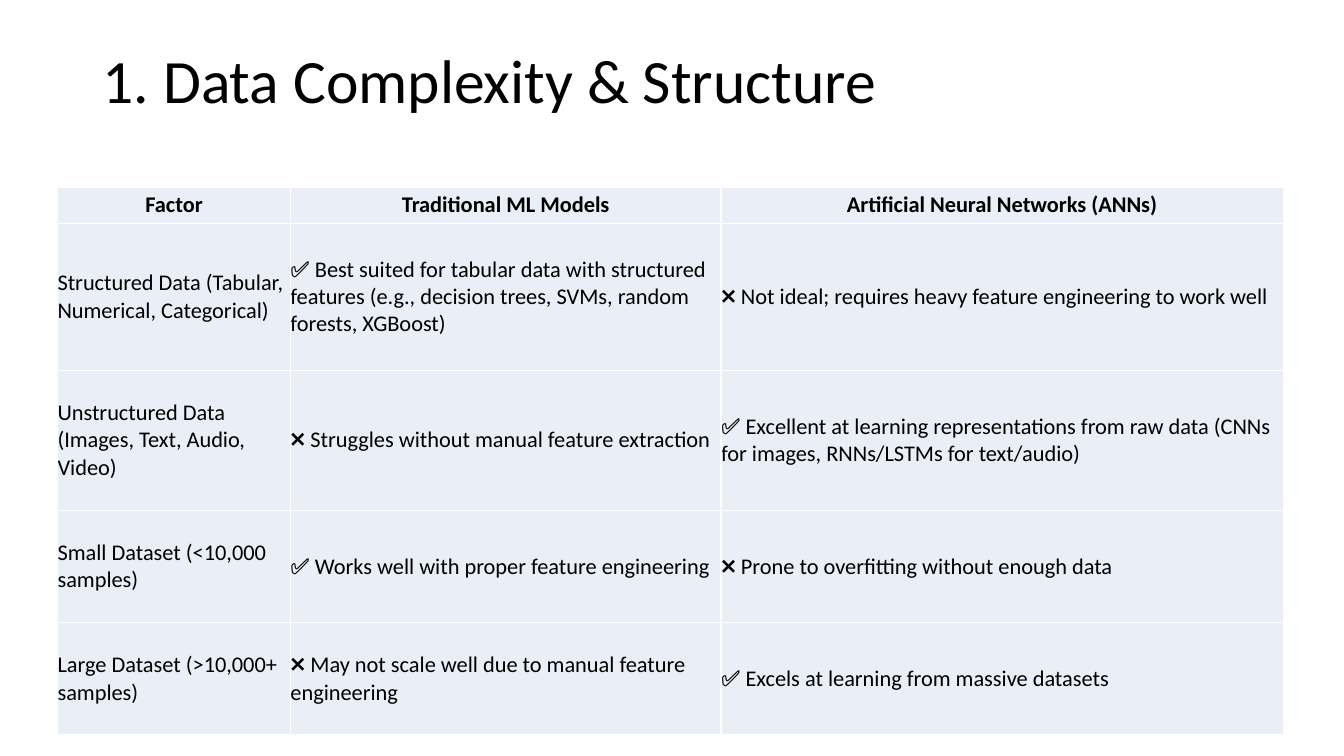
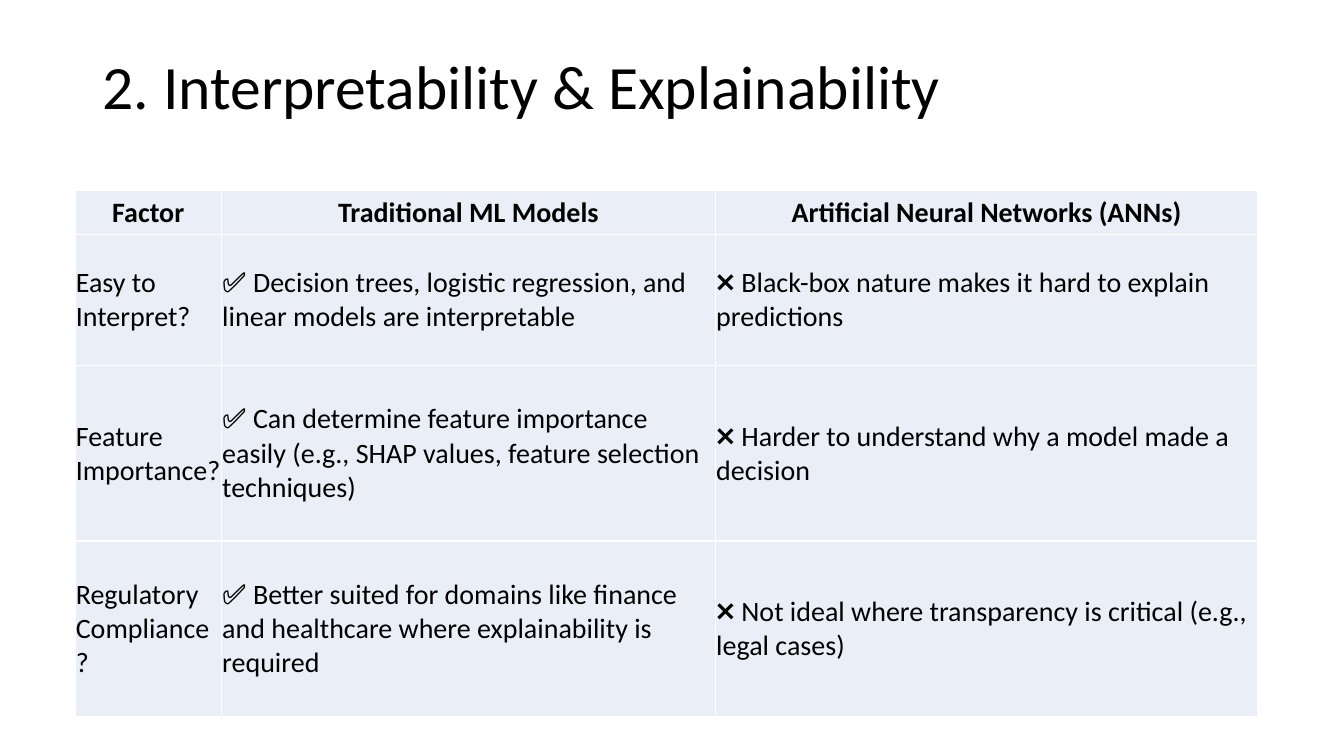
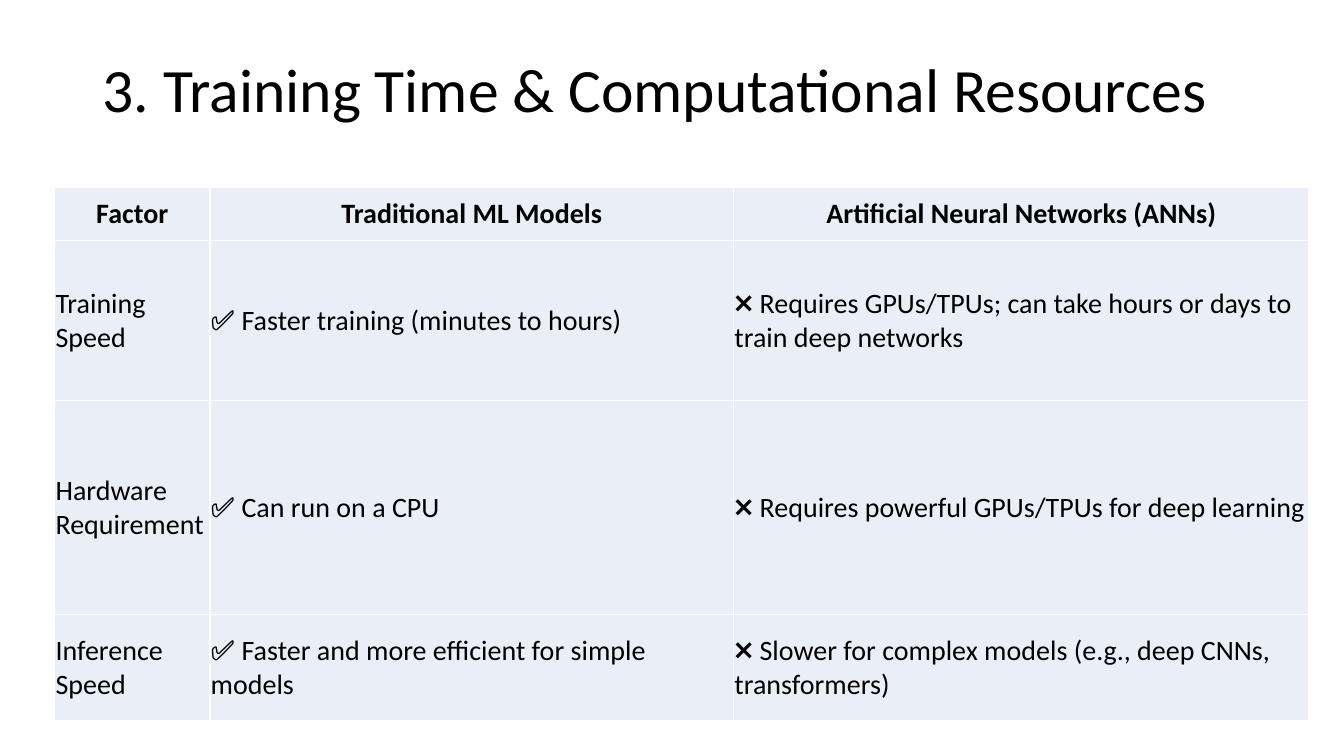
from lxml.etree import SubElement as Sub
from pptx import Presentation
from pptx.dml.color import RGBColor
from pptx.enum.text import MSO_ANCHOR as Anchor, MSO_AUTO_SIZE as Auto, PP_ALIGN as Align
from pptx.oxml.ns import qn
from pptx.util import Cm, Pt

FONT, INK, PALE, RULE = "Calibri", "000000", "EAEFF7", "FFFFFF"
HEAD = ("Factor", "Traditional ML Models", "Artificial Neural Networks (ANNs)")

TOPICS = [
    dict(
        title="1. Data Complexity & Structure", high=2.18,
        spot=(1.45, 4.71), cols=(5.87, 10.85, 14.17),
        rows=(0.92, 3.7, 3.53, 2.83, 2.83), size=16, inset=0,
        body=[
            ("Structured Data (Tabular, Numerical, Categorical)",
             "✅ Best suited for tabular data with structured features "
             "(e.g., decision trees, SVMs, random forests, XGBoost)",
             "❌ Not ideal; requires heavy feature engineering to work well"),
            ("Unstructured Data (Images, Text, Audio, Video)",
             "❌ Struggles without manual feature extraction",
             "✅ Excellent at learning representations from raw data "
             "(CNNs for images, RNNs/LSTMs for text/audio)"),
            ("Small Dataset (<10,000 samples)",
             "✅ Works well with proper feature engineering",
             "❌ Prone to overfitting without enough data"),
            ("Large Dataset (>10,000+ samples)",
             "❌ May not scale well due to manual feature engineering",
             "✅ Excels at learning from massive datasets"),
        ]),
    dict(
        title="2. Interpretability & Explainability", high=2.48,
        spot=(1.89, 4.81), cols=(3.69, 12.45, 13.67),
        rows=(1.09, 3.31, 4.42, 4.42), size=20, inset=0.02,
        body=[
            ("Easy to Interpret?",
             "✅ Decision trees, logistic regression, and linear models "
             "are interpretable",
             "❌ Black-box nature makes it hard to explain predictions"),
            ("Feature Importance?",
             "✅ Can determine feature importance easily "
             "(e.g., SHAP values, feature selection techniques)",
             "❌ Harder to understand why a model made a decision"),
            ("Regulatory Compliance?",
             "✅ Better suited for domains like finance and healthcare "
             "where explainability is required",
             "❌ Not ideal where transparency is critical (e.g., legal cases)"),
        ]),
    dict(
        title="3. Training Time & Computational Resources", high=2.64,
        spot=(1.38, 4.71), cols=(3.91, 13.2, 14.5),
        rows=(1.35, 4.04, 5.38, 2.69), size=20, inset=0.02,
        body=[
            ("Training Speed",
             "✅ Faster training (minutes to hours)",
             "❌ Requires GPUs/TPUs; can take hours or days to train "
             "deep networks"),
            ("Hardware Requirement",
             "✅ Can run on a CPU",
             "❌ Requires powerful GPUs/TPUs for deep learning"),
            ("Inference Speed",
             "✅ Faster and more efficient for simple models",
             "❌ Slower for complex models (e.g., deep CNNs, transformers)"),
        ]),
]


def tint(code):
    return RGBColor.from_string(code)


def write(para, text, size, bold=False, align=Align.LEFT):
    para.alignment = align
    run = para.add_run()
    run.text = text
    font = run.font
    font.name, font.size, font.bold = FONT, Pt(size), bold
    font.color.rgb = tint(INK)


def put_title(slide, text, high):
    shape = slide.shapes.title
    shape.left, shape.top = Cm(2.33), Cm(1.01)
    shape.width, shape.height = Cm(29.21), Cm(high)
    frame = shape.text_frame
    frame.auto_size, frame.word_wrap = Auto.NONE, True
    frame.vertical_anchor = Anchor.MIDDLE
    para = frame.paragraphs[0]
    para.line_spacing = 0.9
    write(para, text, 44)


def edge(cell):
    """Rule all four sides of a cell; call before filling it."""
    props = cell._tc.get_or_add_tcPr()
    for side in "LRTB":
        line = Sub(props, qn(f"a:ln{side}"), w=str(Pt(1)))
        fill = Sub(line, qn("a:solidFill"))
        Sub(fill, qn("a:srgbClr"), val=RULE)


def put_cell(cell, text, size, inset, head):
    edge(cell)
    cell.fill.solid()
    cell.fill.fore_color.rgb = tint(PALE)
    cell.margin_left = cell.margin_right = cell.margin_top = Cm(inset)
    cell.margin_bottom = 0
    cell.vertical_anchor = Anchor.MIDDLE
    write(cell.text_frame.paragraphs[0], text, size, head,
          Align.CENTER if head else Align.LEFT)


def put_table(slide, spot, cols, rows, body, size, inset):
    left, top = spot
    table = slide.shapes.add_table(
        len(rows), len(cols), Cm(left), Cm(top),
        Cm(sum(cols)), Cm(sum(rows))).table
    for col, wide in zip(table.columns, cols):
        col.width = Cm(wide)
    for row, high, texts in zip(table.rows, rows, [HEAD, *body]):
        row.height = Cm(high)
        for cell, text in zip(row.cells, texts):
            put_cell(cell, text, size, inset, texts is HEAD)


def add_topic(deck, title, high, **grid):
    slide = deck.slides.add_slide(deck.slide_layouts[5])
    put_title(slide, title, high)
    put_table(slide, **grid)


def main():
    deck = Presentation()
    deck.slide_width, deck.slide_height = Cm(33.87), Cm(19.05)
    for topic in TOPICS:
        add_topic(deck, **topic)
    deck.save("out.pptx")


if __name__ == "__main__":
    main()
